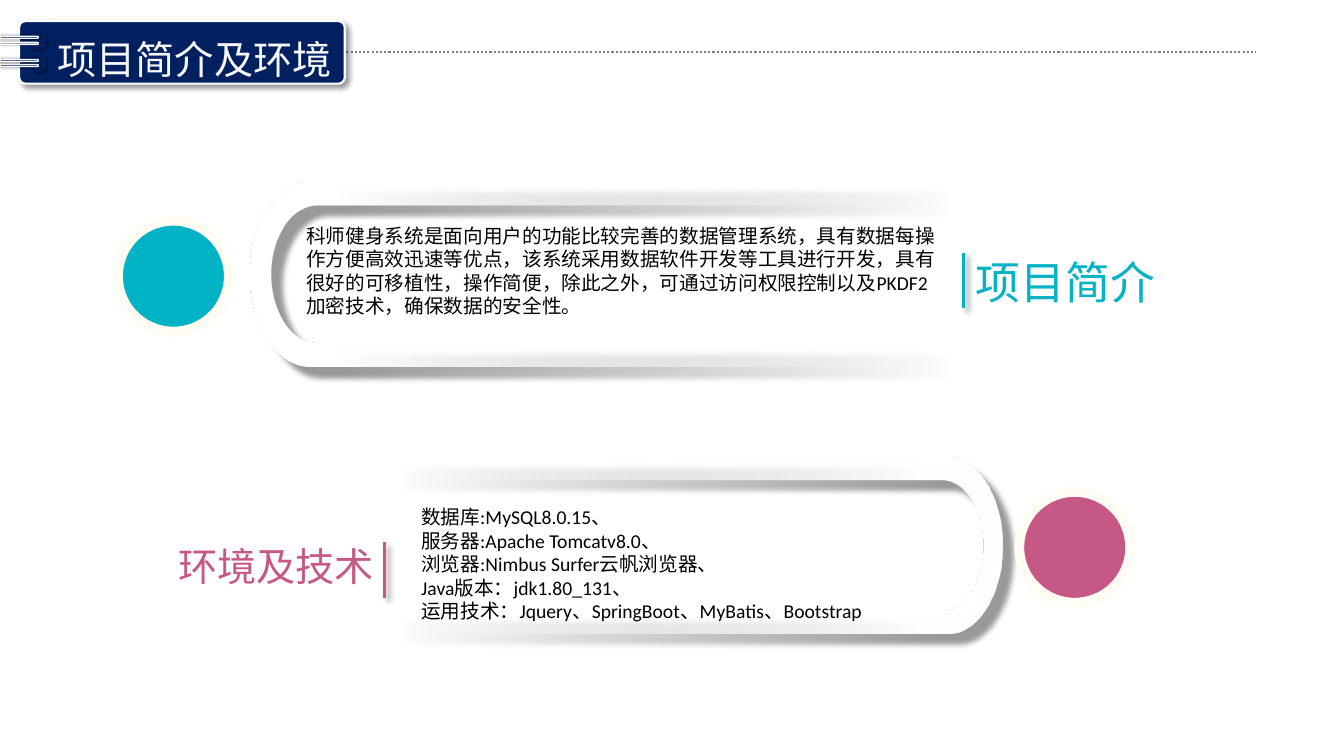
from dataclasses import dataclass

from lxml import etree
from pptx import Presentation
from pptx import util as u
from pptx.dml.color import RGBColor
from pptx.enum import dml, shapes, text
from pptx.oxml import parse_xml
from pptx.oxml.ns import nsdecls, qn


@dataclass(frozen=True)
class Theme:
    """Colours, fonts and type sizes of the slide."""
    navy: str = "002060"
    teal: str = "01B3C5"
    rose: str = "C65885"
    white: str = "FFFFFF"
    title: str = "F8F8FA"
    ink: str = "000000"
    rule: str = "808080"
    halo: str = "FFFCF4"
    latin: str = "Calibri"
    cjk: str = "Noto Sans CJK SC"
    body: int = 14
    heading: int = 28
    large: int = 32


T = Theme()
INTRO = [
    "科师健身系统是面向用户的功能比较完善的数据管理系统，具有数据每操",
    "作方便高效迅速等优点，该系统采用数据软件开发等工具进行开发，具有",
    "很好的可移植性，操作简便，除此之外，可通过访问权限控制以及PKDF2",
    "加密技术，确保数据的安全性。",
]
STACK = [
    "数据库:MySQL8.0.15、",
    "服务器:Apache Tomcatv8.0、",
    "浏览器:Nimbus Surfer云帆浏览器、",
    "Java版本：jdk1.80_131、",
    "运用技术：Jquery、SpringBoot、MyBatis、Bootstrap",
]


def inches(*values):
    """Convert numbers to lengths."""
    return [u.Inches(v) for v in values]


def assign(obj, values):
    """Set each named attribute on an object."""
    for name, value in values.items():
        setattr(obj, name, value)


def set_line(line, color, width, dash=None):
    """Give an outline its colour, width and dash."""
    line.color.rgb = RGBColor.from_string(color)
    assign(line, {"width": u.Pt(width), "dash_style": dash})


def set_shadow(sp, shadow=None):
    """Give a shape a (blur, distance, angle) shadow, or none."""
    effects = etree.SubElement(sp._element.spPr, qn("a:effectLst"))
    if shadow:
        blur, dist, angle = shadow
        effects.append(parse_xml(
            f'<a:outerShdw {nsdecls("a")} blurRad="{u.Pt(blur)}" dist="{u.Pt(dist)}" '
            f'dir="{angle * 60000}" algn="tl" rotWithShape="0"><a:srgbClr val="{T.ink}">'
            '<a:alpha val="40000"/></a:srgbClr></a:outerShdw>'))


def add_preset(s, kind, box, fill, line=None, shadow=None, adj=None):
    """Draw one filled preset shape."""
    sp = s.shapes.add_shape(kind, *inches(*box))
    sp.fill.solid()
    sp.fill.fore_color.rgb = RGBColor.from_string(fill)
    if line:
        set_line(sp.line, *line)
    else:
        sp.line.fill.background()
    if adj is not None:
        sp.adjustments[0] = adj
    set_shadow(sp, shadow)


def add_rule(s, start, end, line, shadow=None):
    """Draw one straight line."""
    rule = s.shapes.add_connector(shapes.MSO_CONNECTOR.STRAIGHT, *inches(*start, *end))
    set_line(rule.line, *line)
    set_shadow(rule, shadow)


def write(sp, lines, size, color, font, wrap=True):
    """Fill a text shape with left-aligned paragraphs."""
    tf = sp.text_frame
    assign(tf, {"word_wrap": wrap, "auto_size": text.MSO_AUTO_SIZE.NONE,
                "vertical_anchor": text.MSO_ANCHOR.TOP})
    for i, line in enumerate(lines):
        p = tf.paragraphs[0] if i == 0 else tf.add_paragraph()
        p.alignment = text.PP_ALIGN.LEFT
        r = p.add_run()
        r.text = line
        assign(r.font, {"size": u.Pt(size), "name": font})
        r.font.color.rgb = RGBColor.from_string(color)
        etree.SubElement(r._r.get_or_add_rPr(), qn("a:ea"), typeface=T.cjk)


def add_text(s, box, *args, **options):
    """Place a text box."""
    write(s.shapes.add_textbox(*inches(*box)), *args, **options)


def half_ellipse(cx, cy, rx, ry):
    """List the points of two Bezier curves that bulge left from top to bottom."""
    k = 0.55
    return [(cx - k * rx, cy - ry), (cx - rx, cy - k * ry), (cx - rx, cy),
            (cx - rx, cy + k * ry), (cx - k * rx, cy + ry), (cx, cy + ry)]


def bend(sp, starts):
    """Turn the three line segments from each start into one Bezier curve."""
    segments = list(sp._element.iter(qn("a:lnTo")))
    for i in starts:
        curve = segments[i]
        curve.tag = qn("a:cubicBezTo")
        for extra in segments[i + 1:i + 3]:
            curve.append(extra[0])
            extra.getparent().remove(extra)


def add_bracket(s, box, mirrored):
    """Draw a round-ended bracket that fades out towards its open side."""
    left, top, width, height = box
    band, mid = 0.13 * height, height / 2
    inner = half_ellipse(0.1 * width, mid, 0.068 * width, mid - band)
    outer = half_ellipse(0.09 * width, mid, 0.09 * width, mid)
    outer_end = (0.09 * width, 0)
    points = [(width, band), (0.1 * width, band), *inner, (width, height - band),
              (width, height), *reversed(outer), outer_end, (width, 0)]
    points = [inches(left + (width - x if mirrored else x), top + y) for x, y in points]
    builder = s.shapes.build_freeform(*points[0])
    builder.add_line_segments(points[1:])
    sp = builder.convert_to_shape()
    bend(sp, (1, 4, 10, 13))
    sp.line.fill.background()
    angle = 0 if mirrored else 180 * 60000
    sp._element.spPr.insert(2, parse_xml(
        f'<a:gradFill {nsdecls("a")} rotWithShape="1"><a:gsLst>'
        f'<a:gs pos="0"><a:srgbClr val="{T.white}"><a:alpha val="3000"/></a:srgbClr></a:gs>'
        f'<a:gs pos="88000"><a:srgbClr val="{T.white}"/></a:gs></a:gsLst>'
        f'<a:lin ang="{angle}" scaled="0"/></a:gradFill>'))
    set_shadow(sp, (4, 11, 45))


def add_panel(s, box, mirrored, color, dot, body, lines, label, heading, size, bar):
    """Build a bracket with its text, dot, bar and heading, offset from the box corner."""
    def place(dx, dy, *extent):
        return (box[0] + dx, box[1] + dy, *extent)

    add_bracket(s, box, mirrored)
    add_preset(s, shapes.MSO_SHAPE.OVAL, place(*dot, 1.1, 1.1), color, (T.halo, 7))
    add_text(s, place(*body), lines, T.body, T.ink, T.latin, wrap=False)
    add_text(s, place(*label), [heading], size, color, T.cjk)
    x, y = place(*bar)
    add_rule(s, (x, y), (x, y + 0.55), (color, 2), (4, 4, 45))


def add_header(s, box):
    """Build the clipped title badge and its dotted rule."""
    left, top, width, height = box
    add_rule(s, (left + width - 0.11, top + height / 2), (12.46, top + height / 2),
             (T.rule, 1.5, dml.MSO_LINE.ROUND_DOT))
    add_preset(s, shapes.MSO_SHAPE.ROUNDED_RECTANGLE, box, T.navy,
               (T.white, 1.5), (4, 3, 45), 0.1)
    for cy in (top + 0.42, top + 0.2):
        for size, shadow in ((0.17, (1, 1, 45)), (0.14, None)):
            add_preset(s, shapes.MSO_SHAPE.OVAL,
                       (left + 0.19 - size / 2, cy - size / 2, size, size),
                       T.navy, shadow=shadow)
    for dy in (0.43, 0.38, 0.21, 0.15):
        add_preset(s, shapes.MSO_SHAPE.ROUNDED_RECTANGLE,
                   (left - 0.19, top + dy, 0.38, 0.02), T.navy,
                   (T.white, 1), (2, 0, 0), 0.5)
    title = s.shapes.title
    assign(title, dict(zip(("left", "top", "width", "height"),
                           inches(left + 0.28, top + 0.09, 2.95, 0.57))))
    write(title, ["项目简介及环境"], T.heading, T.title, T.cjk)
    s.shapes._spTree.append(title._element)


def main():
    """Build and save the slide."""
    prs = Presentation()
    assign(prs, {"slide_width": u.Inches(13.33), "slide_height": u.Inches(7.5)})
    s = prs.slides.add_slide(prs.slide_layouts[5])
    add_panel(s, (3.89, 4.54, 6.05, 1.74), True, T.rose, (6.22, 0.34),
              (0.19, 0.42, 5.74, 1.51), STACK,
              (-2.22, 0.79, 2.17, 0.57), "环境及技术", T.heading, (-0.08, 0.84))
    add_panel(s, (2.48, 1.8, 6.78, 1.84), False, T.teal, (-1.31, 0.39),
              (0.46, 0.37, 6.48, 1.04), INTRO,
              (7.1, 0.68, 2.13, 0.64), "项目简介", T.large, (7.08, 0.71))
    add_header(s, (0.19, 0.21, 3.23, 0.62))
    prs.save("out.pptx")


if __name__ == "__main__":
    main()
